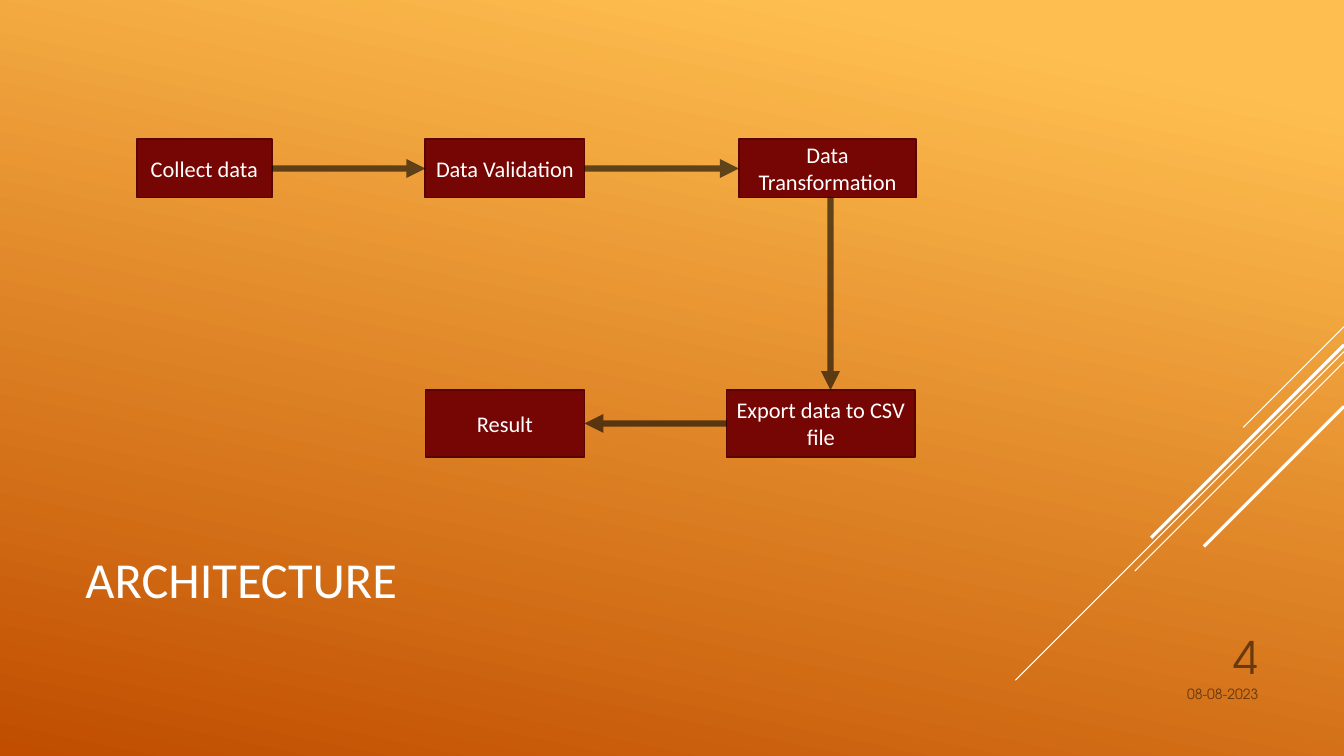
from lxml import etree
from pptx import Presentation
from pptx.dml.color import RGBColor
from pptx.enum.shapes import MSO_CONNECTOR, MSO_SHAPE
from pptx.enum.text import MSO_ANCHOR, MSO_AUTO_SIZE, PP_ALIGN
from pptx.oxml.ns import qn
from pptx.util import Cm, Pt

STRAIGHT = MSO_CONNECTOR.STRAIGHT
RECT = MSO_SHAPE.RECTANGLE
TOP, MIDDLE, BOTTOM = MSO_ANCHOR.TOP, MSO_ANCHOR.MIDDLE, MSO_ANCHOR.BOTTOM
LEFT, CENTER, RIGHT = PP_ALIGN.LEFT, PP_ALIGN.CENTER, PP_ALIGN.RIGHT
NO_FIT = MSO_AUTO_SIZE.NONE

WHITE = RGBColor(0xFF, 0xFF, 0xFF)
BLACK = RGBColor(0, 0, 0)
MAROON = RGBColor(0x76, 0x06, 0x03)
DARK_MAROON = RGBColor(0x57, 0x04, 0x02)
BROWN = RGBColor(0x68, 0x38, 0x0F)
AMBER = RGBColor(0xFF, 0xBF, 0x50)
RUST = RGBColor(0xC0, 0x4D, 0x00)
BODY_FONT = "Calibri"
FOOTER_FONT = "TeX Gyre Adventor"

SLIDE_W, SLIDE_H = 33.87, 19.05
TITLE = "ARCHITECTURE"
TITLE_BOX = (1.9, 12.47, 23.7, 4.19)

ROWS = {"top": (3.51, 1.47), "bottom": (9.83, 1.68)}
STEPS = [
    ("Collect data", "top", 3.45, 3.4),
    ("Data Validation", "top", 10.72, 4.01),
    ("Data Transformation", "top", 18.62, 4.47),
    ("Export data to CSV file", "bottom", 18.31, 4.75),
    ("Result", "bottom", 10.72, 4.01),
]
DOWN_ARROW_X = 20.93

FOOTERS = [
    ("08-08-2023", (27.51, 17.15, 4.45, 1.02), 10, TOP),
    ("4", (28.78, 15.49, 3.18, 1.85), 32, BOTTOM),
]
DIAGONALS = [
    (8.23, 2.54, 0.75),
    (8.86, 8.28, 0.75),
    (9.12, 5.27, 0.75),
    (8.69, 4.86, 2.25),
    (10.24, 3.53, 2.25),
]


def place(sp, box):
    sp.left, sp.top, sp.width, sp.height = map(Cm, box)


def write(sp, text, size, font, color, align, anchor):
    tf = sp.text_frame
    tf.word_wrap = True
    tf.auto_size = NO_FIT
    tf.vertical_anchor = anchor
    p = tf.paragraphs[0]
    p.alignment = align
    p.space_before = p.space_after = Pt(0)
    r = p.add_run()
    r.text = text
    r.font.size = Pt(size)
    r.font.name = font
    r.font.color.rgb = color
    return p


def add_line(s, start, end, color, width):
    line = s.shapes.add_connector(STRAIGHT, *map(Cm, start + end))
    line.line.color.rgb = color
    line.line.width = Pt(width)
    etree.SubElement(line._element.spPr, qn("a:effectLst"))
    return line


def add_arrow(s, start, end):
    ln = add_line(s, start, end, BLACK, 4.5).line._get_or_add_ln()
    color = ln.find(".//" + qn("a:srgbClr"))
    etree.SubElement(color, qn("a:alpha"), val="60000")
    etree.SubElement(ln, qn("a:tailEnd"), type="triangle")


prs = Presentation()
prs.slide_width, prs.slide_height = Cm(SLIDE_W), Cm(SLIDE_H)
s = prs.slides.add_slide(prs.slide_layouts[1])
title, result = s.placeholders

fill = s.background.fill
fill.gradient()
fill.gradient_angle = 258
for stop, color, position in zip(fill.gradient_stops, (AMBER, RUST), (0.1, 1)):
    stop.color.rgb = color
    stop.position = position

for top, run, width in DIAGONALS:
    add_line(s, (SLIDE_W, top), (SLIDE_W - run, top + run), WHITE, width)

place(title, TITLE_BOX)
write(title, TITLE, 36, BODY_FONT, WHITE, LEFT, MIDDLE)

for text, box, size, anchor in FOOTERS:
    sp = s.shapes.add_textbox(*map(Cm, box))
    write(sp, text, size, FOOTER_FONT, BROWN, RIGHT, anchor)

for text, row, left, width in STEPS:
    top, height = ROWS[row]
    box = (left, top, width, height)
    if text == "Result":
        sp = result
        place(sp, box)
    else:
        sp = s.shapes.add_shape(RECT, *map(Cm, box))
        sp.shadow.inherit = False
    sp.fill.solid()
    sp.fill.fore_color.rgb = MAROON
    sp.line.color.rgb = DARK_MAROON
    sp.line.width = Pt(1.25)
    p = write(sp, text, 16, BODY_FONT, WHITE, CENTER, MIDDLE)
    if sp is result:
        pPr = p._p.get_or_add_pPr()
        pPr.set("marL", "0")
        pPr.set("indent", "0")
        etree.SubElement(pPr, qn("a:buNone"))

for (_, row, left, width), (_, next_row, next_left, next_width) in zip(STEPS, STEPS[1:]):
    top, height = ROWS[row]
    middle = top + height / 2
    if row != next_row:
        add_arrow(s, (DOWN_ARROW_X, top + height), (DOWN_ARROW_X, ROWS[next_row][0]))
    elif left < next_left:
        add_arrow(s, (left + width, middle), (next_left, middle))
    else:
        add_arrow(s, (left, middle), (next_left + next_width, middle))

prs.save("out.pptx")
